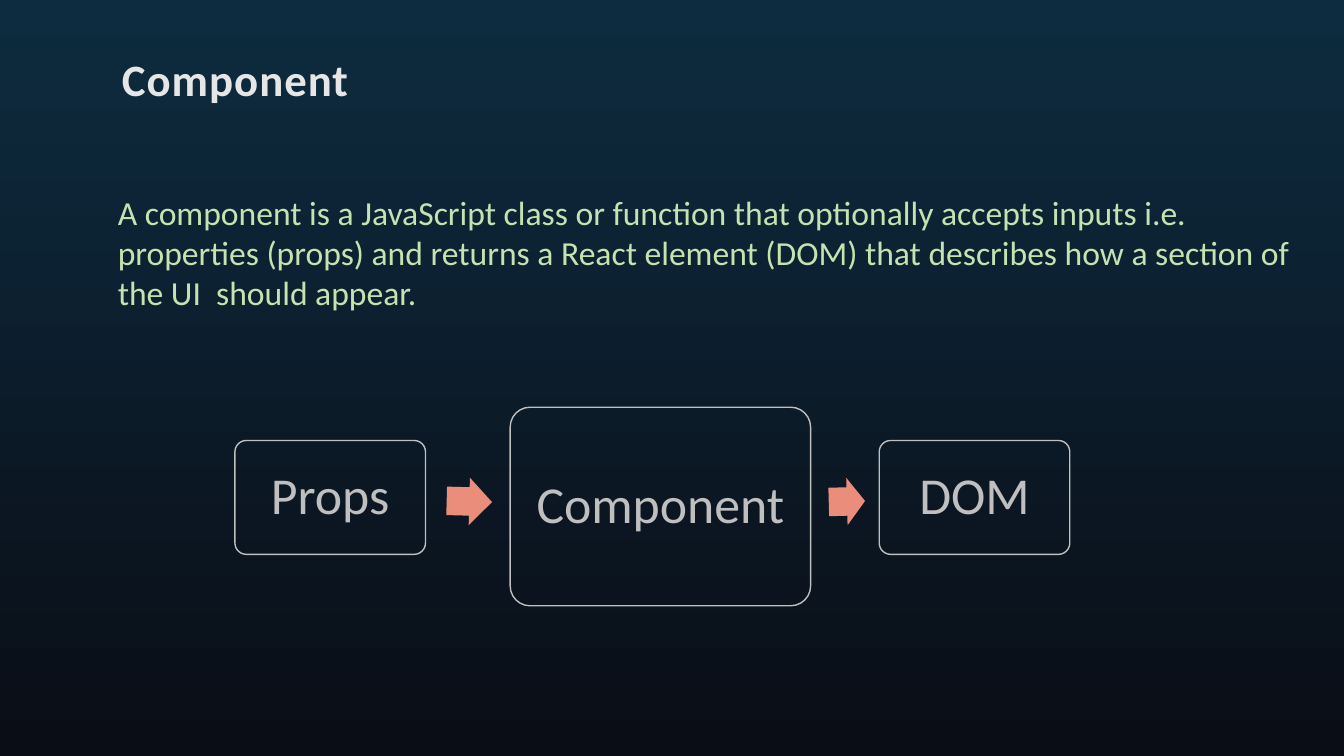
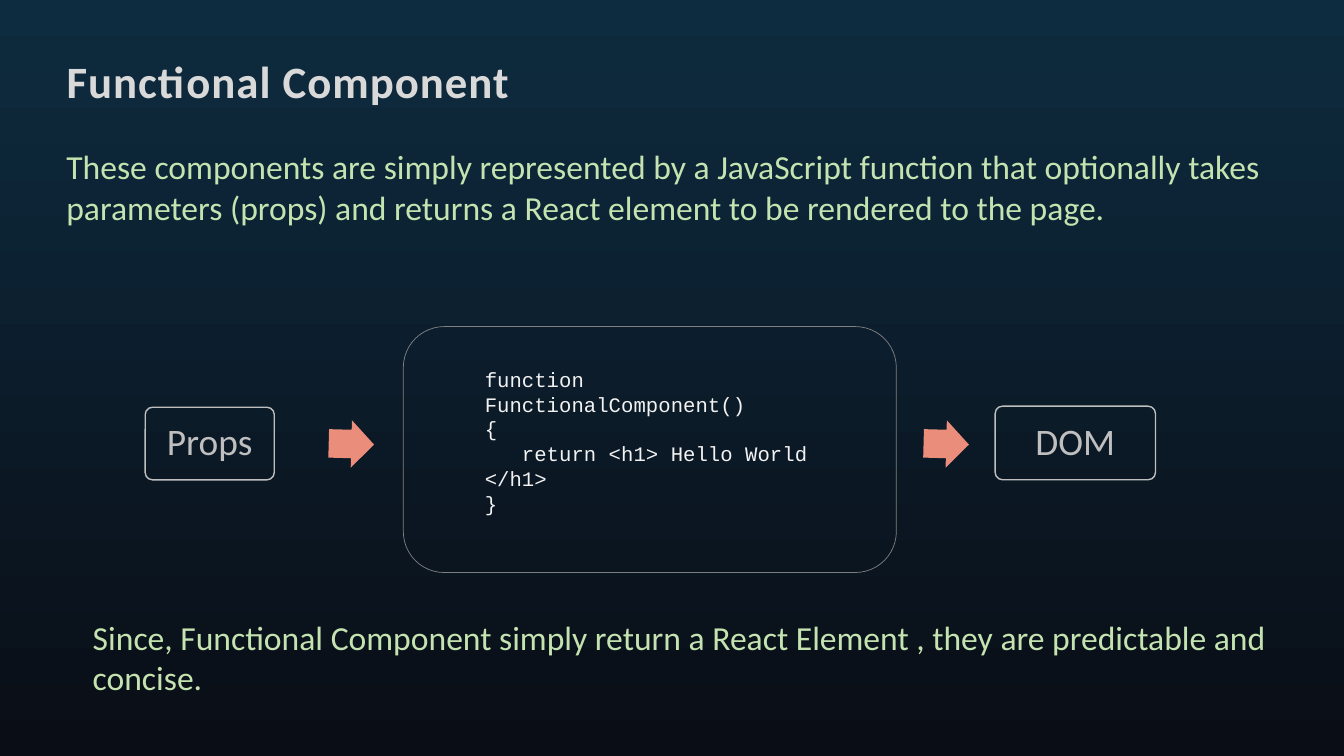
import pptx
import pptx.dml.color
import pptx.enum.shapes
import pptx.enum.text
import pptx.util

Inches = pptx.util.Inches
Pt = pptx.util.Pt
Kind = pptx.enum.shapes.MSO_SHAPE
Anchor = pptx.enum.text.MSO_ANCHOR
Align = pptx.enum.text.PP_ALIGN

COLORS = {
    "top": "0D2C3F", "base": "0A0D16", "mint": "C4E3B0", "coral": "EA8D7A",
    "box": "BFBFBF", "frame": "808080", "code": "F2F2F2",
    "light": "E7E6E6", "gray": "D9D9D9",
}
SANS, MONO = "Calibri", "Courier New"

SLIDES = [
    {
        "title": ("Component", (1.11, 0.4, 4.44, 0.82), "light"),
        "body": [
            ("A component is a JavaScript class or function that optionally "
             "accepts inputs i.e. properties (props) and returns a React "
             "element (DOM) that describes how a section of the UI  should "
             "appear.", (1.07, 1.85, 12, 1.31), True),
        ],
        "size": 37,
        "boxes": [
            ("Props", (2.33, 4.37, 1.89, 1.13)),
            ("Component", (5.06, 4.04, 2.98, 1.97)),
            ("DOM", (8.72, 4.37, 1.89, 1.13)),
        ],
        "arrows": [((4.43, 4.74, 0.45, 0.47), 1.5),
                   ((8.22, 4.74, 0.36, 0.47), -1.6)],
    },
    {
        "title": ("Functional Component", (0.56, 0.4, 12.23, 0.87), "gray"),
        "body": [
            ("These components are simply represented by a JavaScript "
             "function that optionally takes parameters (props) and returns "
             "a React element to be rendered to the page.",
             (0.56, 1.4, 12.23, 1.29), True),
            ("Since, Functional Component simply return a React Element , "
             "they are predictable and concise.",
             (0.92, 6.12, 11.87, 1.21), False),
        ],
        "size": 26.7,
        "boxes": [
            ("Props", (1.44, 4.04, 1.28, 0.72)),
            ("DOM", (9.87, 4.03, 1.59, 0.73)),
        ],
        "arrows": [((3.26, 4.17, 0.45, 0.47), 1.5),
                   ((9.16, 4.17, 0.45, 0.47), 1.5)],
        "frame": (4, 3.24, 4.89, 2.44),
        "code": (
            ["function FunctionalComponent()", "{",
             "   return <h1> Hello World </h1>", "}"],
            (4.71, 3.59, 3.46, 1.58),
        ),
    },
]


def color(name):
    return pptx.dml.color.RGBColor.from_string(COLORS[name])


def place(spot):
    return [Inches(part) for part in spot]


def write(frame, lines, size, tint, font=SANS, bold=False, align=Align.LEFT,
          anchor=Anchor.TOP, pad=None, space=None):
    frame.word_wrap = True
    frame.auto_size = pptx.enum.text.MSO_AUTO_SIZE.NONE
    frame.vertical_anchor = anchor
    if pad is not None:
        frame.margin_left = frame.margin_right = Inches(pad)
        frame.margin_top = frame.margin_bottom = Inches(pad)
    for i, line in enumerate(lines):
        para = frame.add_paragraph() if i else frame.paragraphs[0]
        para.alignment = align
        if space:
            para.line_spacing = space
        run = para.add_run()
        run.text = line
        run.font.name = font
        run.font.size = Pt(size)
        run.font.bold = bold
        run.font.color.rgb = color(tint)


def add_title(slide, text, spot, tint):
    title = slide.shapes.title
    title.left, title.top, title.width, title.height = place(spot)
    write(title.text_frame, [text], 32, tint, bold=True,
          anchor=Anchor.MIDDLE, space=0.9)
    run = title.text_frame.paragraphs[0].runs[0]
    run.font._element.set("spc", "70")


def add_text(slide, lines, spot, size, tint, **style):
    box = slide.shapes.add_textbox(*place(spot))
    write(box.text_frame, lines, size, tint, **style)


def add_round(slide, spot, tint, width, bend=None):
    shape = slide.shapes.add_shape(Kind.ROUNDED_RECTANGLE, *place(spot))
    shape.shadow.inherit = False
    shape.fill.background()
    shape.line.color.rgb = color(tint)
    shape.line.width = Pt(width)
    if bend:
        shape.adjustments[0] = bend
    return shape


def add_arrow(slide, spot, turn):
    arrow = slide.shapes.add_shape(Kind.RIGHT_ARROW, *place(spot))
    arrow.shadow.inherit = False
    arrow.fill.solid()
    arrow.fill.fore_color.rgb = color("coral")
    arrow.line.fill.background()
    arrow.adjustments[0] = 0.6
    arrow.adjustments[1] = 0.5
    arrow.rotation = turn


def paint(master):
    fill = master.background.fill
    fill.gradient()
    fill.gradient_angle = 270
    for stop, name, point in zip(fill.gradient_stops, ("top", "base"), (0, 1)):
        stop.color.rgb = color(name)
        stop.position = point


def build(deck, data):
    slide = deck.slides.add_slide(deck.slide_layouts[5])
    add_title(slide, *data["title"])
    for text, spot, inset in data["body"]:
        add_text(slide, [text], spot, 24, "mint", pad=None if inset else 0)
    if "frame" in data:
        add_round(slide, data["frame"], "frame", 0.5)
    if "code" in data:
        lines, spot = data["code"]
        add_text(slide, lines, spot, 14.7, "code", font=MONO)
    for text, spot in data["boxes"]:
        box = add_round(slide, spot, "box", 1, 0.1)
        write(box.text_frame, [text], data["size"], "box",
              align=Align.CENTER, anchor=Anchor.MIDDLE, pad=0.1, space=0.9)
    for spot, turn in data["arrows"]:
        add_arrow(slide, spot, turn)


def main():
    deck = pptx.Presentation()
    deck.slide_width, deck.slide_height = Inches(13.33), Inches(7.5)
    paint(deck.slide_master)
    for data in SLIDES:
        build(deck, data)
    deck.save("out.pptx")


if __name__ == "__main__":
    main()
